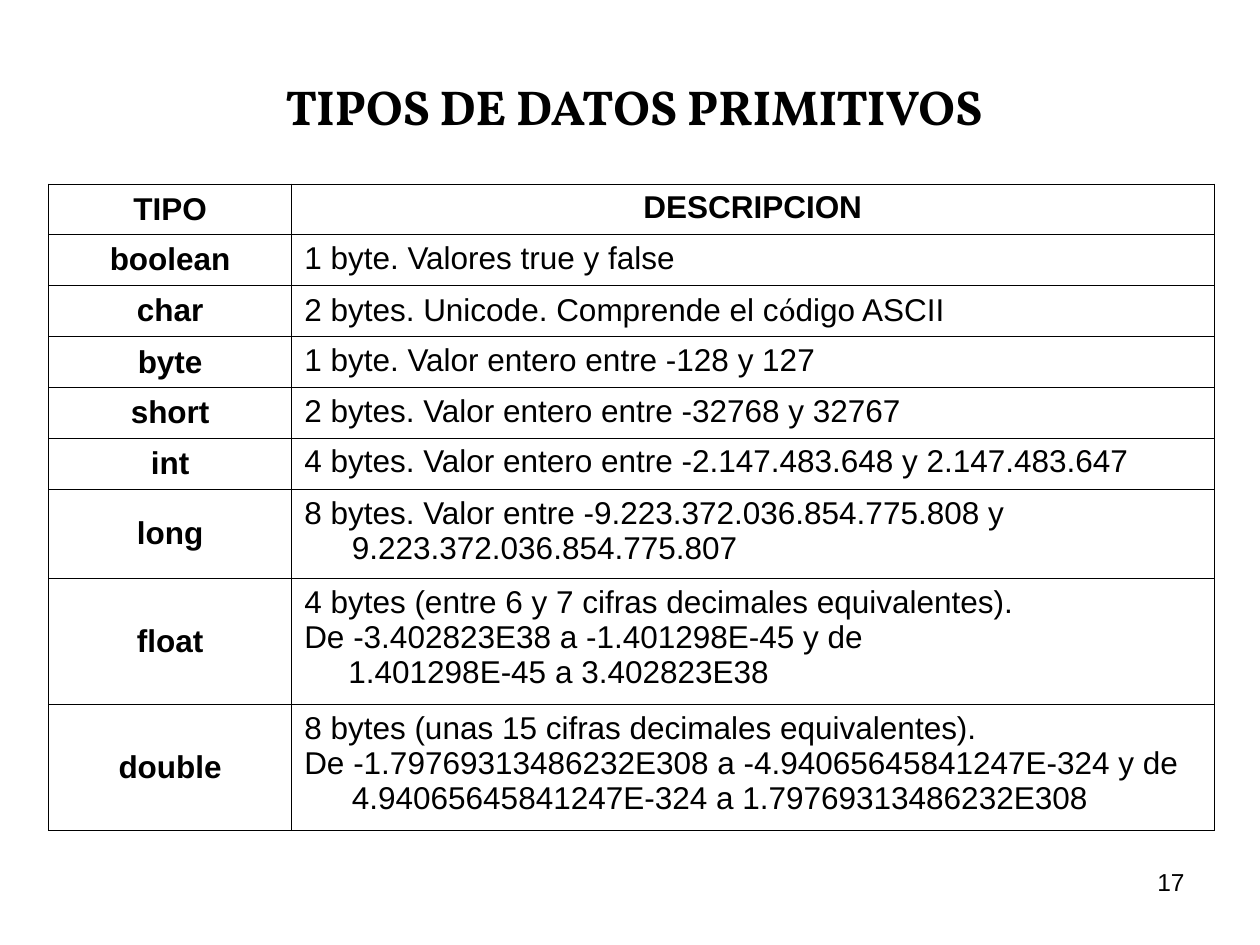
from lxml import etree
from pptx import Presentation
from pptx.dml.color import RGBColor
from pptx.enum.text import MSO_ANCHOR, PP_ALIGN
from pptx.oxml.ns import qn
from pptx.util import Cm, Pt

TOP, MIDDLE = MSO_ANCHOR.TOP, MSO_ANCHOR.MIDDLE
LEFT, CENTER, RIGHT = PP_ALIGN.LEFT, PP_ALIGN.CENTER, PP_ALIGN.RIGHT
TITLE_ONLY = 5
BLACK, WHITE = "000000", "FFFFFF"
BORDER_WIDTH = Pt(0.45)
HANGING = {"marL": Cm(0.96), "indent": Cm(-0.96)}
INSET = {"marL": Cm(0.89), "indent": 0}

TITLE_FONT = {"name": "Vollkorn", "size": Pt(28), "bold": True}
HEAD_FONT = {"name": "Arial", "size": Pt(18), "bold": True}
BODY_FONT = {"name": "Arial", "size": Pt(18), "bold": False}
ACCENT_FONT = {"name": "Vollkorn", "size": Pt(18), "bold": False}
NUMBER_FONT = {"name": "Arial", "size": Pt(14), "bold": False}

# Row height in cm, type, description paragraphs with their indents
ROWS = [
    (1.02, "TIPO", [("DESCRIPCION", HANGING)]),
    (1.02, "boolean", [("1 byte. Valores true y false", HANGING)]),
    (1.04, "char", [("2 bytes. Unicode. Comprende el código ASCII", HANGING)]),
    (1.02, "byte", [("1 byte. Valor entero entre -128 y 127", HANGING)]),
    (1.02, "short", [("2 bytes. Valor entero entre -32768 y 32767", HANGING)]),
    (1.04, "int", [("4 bytes. Valor entero entre -2.147.483.648 y 2.147.483.647", HANGING)]),
    (1.79, "long", [("8 bytes. Valor entre -9.223.372.036.854.775.808 y "
                     "9.223.372.036.854.775.807", HANGING)]),
    (2.54, "float", [("4 bytes (entre 6 y 7 cifras decimales equivalentes).", HANGING),
                     ("De -3.402823E38 a -1.401298E-45 y de", HANGING),
                     ("1.401298E-45 a 3.402823E38", INSET)]),
    (2.54, "double", [("8 bytes (unas 15 cifras decimales equivalentes).", HANGING),
                      ("De -1.79769313486232E308 a -4.94065645841247E-324 y de "
                       "4.94065645841247E-324 a 1.79769313486232E308", HANGING)]),
]
COLUMN_WIDTHS = (4.9, 18.59)


def color(hex_value):
    return RGBColor.from_string(hex_value)


def add_span(para, text, font):
    span = para.add_run()
    span.text = text
    for key, value in font.items():
        setattr(span.font, key, value)
    span.font.color.rgb = color(BLACK)


def add_text(para, text, font, align):
    """Write the text, with the letter ó of the body in the accent font."""
    para.alignment = align
    before, accent, after = text.partition("ó")
    for part, part_font in ((before, font), (accent, ACCENT_FONT), (after, font)):
        if part:
            add_span(para, part, part_font)


def add_title(page, box):
    title = page.shapes.title
    title.left, title.top, title.width, title.height = box
    title.text_frame.vertical_anchor = MIDDLE
    add_text(title.text_frame.paragraphs[0], "TIPOS DE DATOS PRIMITIVOS", TITLE_FONT, CENTER)


def add_borders(cell):
    properties = cell._tc.get_or_add_tcPr()
    for side in ("a:lnL", "a:lnR", "a:lnT", "a:lnB"):
        line = etree.SubElement(properties, qn(side), w=str(BORDER_WIDTH))
        fill = etree.SubElement(line, qn("a:solidFill"))
        etree.SubElement(fill, qn("a:srgbClr"), val=BLACK)


def fill_cell(cell, paragraphs, font, align, anchor):
    add_borders(cell)
    cell.fill.solid()
    cell.fill.fore_color.rgb = color(WHITE)
    cell.vertical_anchor = anchor
    frame = cell.text_frame
    for index, (text, indents) in enumerate(paragraphs):
        para = frame.add_paragraph() if index else frame.paragraphs[0]
        for key, value in indents.items():
            para._p.get_or_add_pPr().set(key, str(int(value)))
        add_text(para, text, font, align)


def add_type_table(page, box):
    table = page.shapes.add_table(len(ROWS), len(COLUMN_WIDTHS), *box).table
    table.first_row = table.horz_banding = False
    for column, width in zip(table.columns, COLUMN_WIDTHS):
        column.width = Cm(width)
    for index, (height, name, description) in enumerate(ROWS):
        table.rows[index].height = Cm(height)
        font, align = (BODY_FONT, LEFT) if index else (HEAD_FONT, CENTER)
        fill_cell(table.cell(index, 0), [(name, HANGING)], HEAD_FONT, CENTER, MIDDLE)
        fill_cell(table.cell(index, 1), description, font, align, TOP)


def add_page_number(page, box):
    frame = page.shapes.add_textbox(*box).text_frame
    frame.word_wrap = True
    add_text(frame.paragraphs[0], "17", NUMBER_FONT, RIGHT)


def main():
    deck = Presentation()
    deck.slide_width, deck.slide_height = Cm(25.4), Cm(19.05)
    page = deck.slides.add_slide(deck.slide_layouts[TITLE_ONLY])
    add_page_number(page, (Cm(18.2), Cm(17.35), Cm(5.93), Cm(1.32)))
    add_title(page, (Cm(1.98), Cm(0.87), Cm(21.59), Cm(2.52)))
    add_type_table(page, (Cm(0.98), Cm(3.71), Cm(23.49), Cm(13.03)))
    deck.save("out.pptx")


if __name__ == "__main__":
    main()
